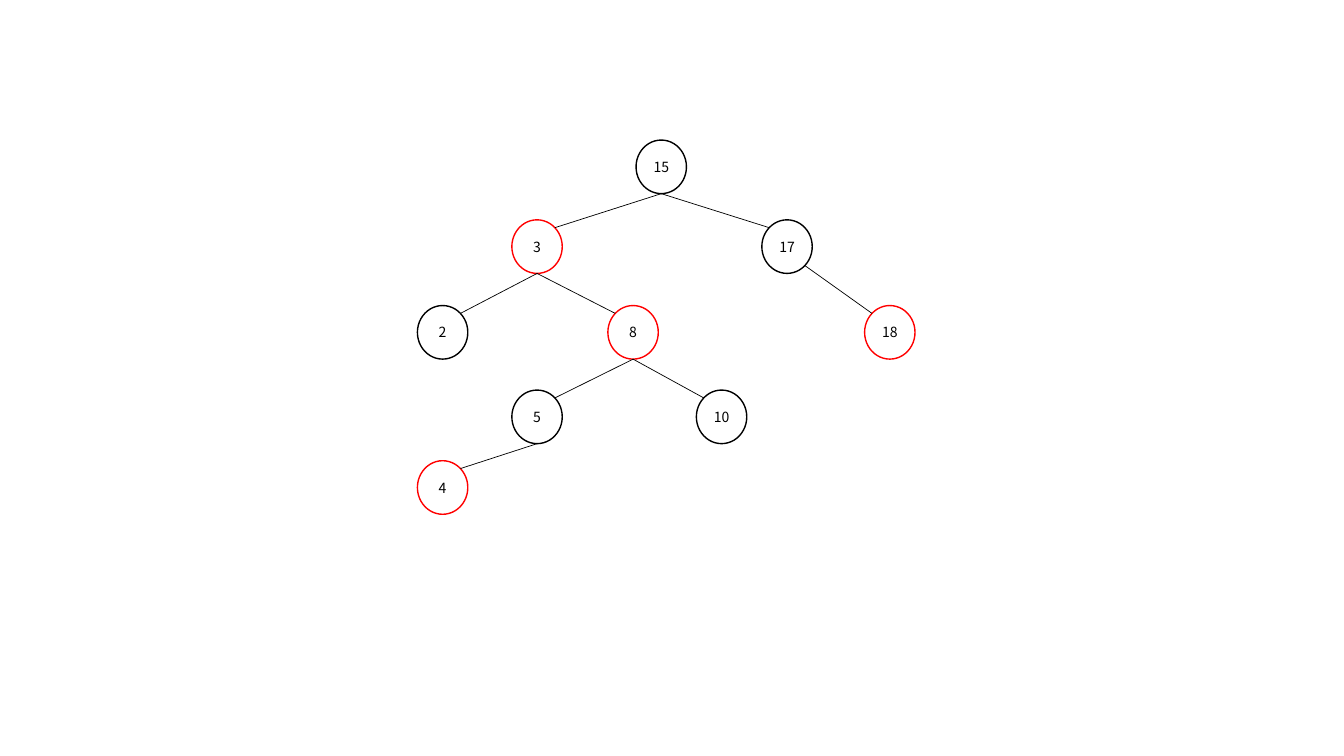
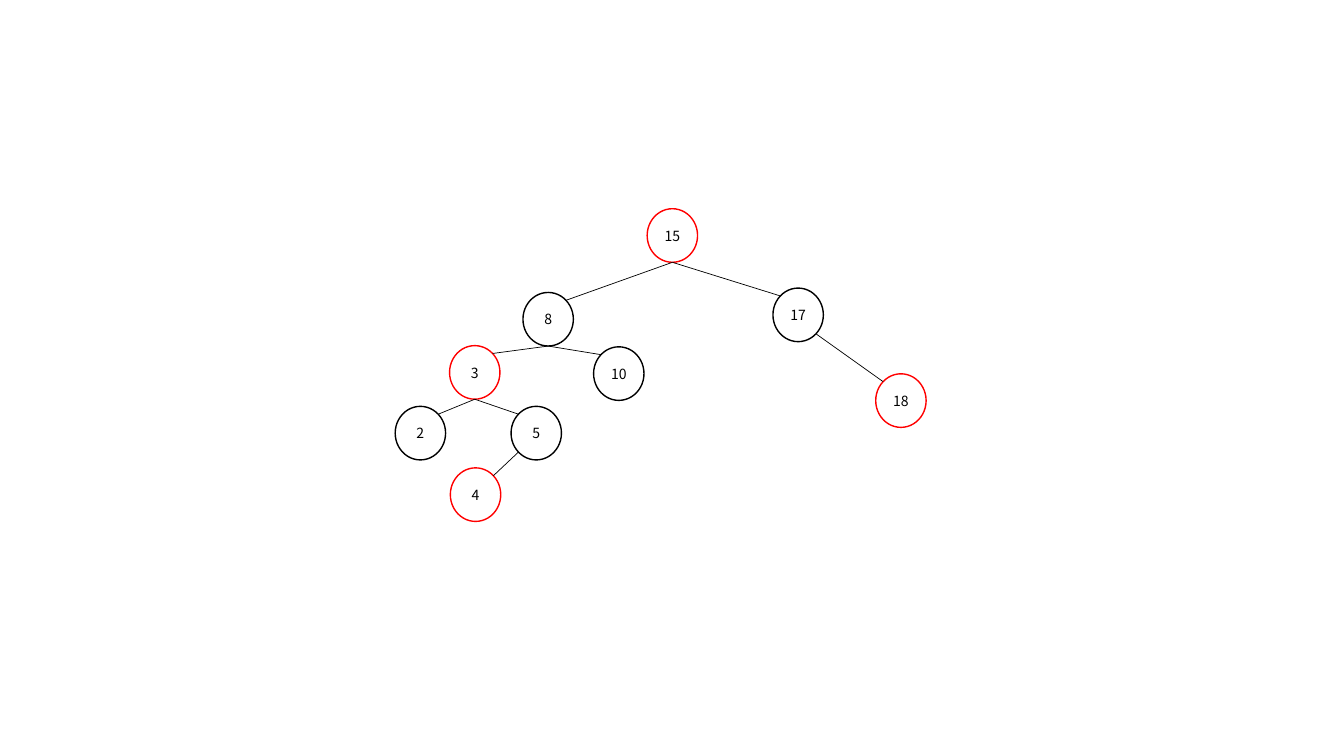
from math import sqrt

from lxml.etree import SubElement
from pptx import Presentation
from pptx.dml.color import RGBColor
from pptx.enum.shapes import MSO_CONNECTOR, MSO_SHAPE
from pptx.enum.text import MSO_ANCHOR, PP_ALIGN
from pptx.oxml.ns import qn
from pptx.util import Cm, Pt

BLACK = RGBColor(0x00, 0x00, 0x00)
RED = RGBColor(0xFF, 0x00, 0x00)
WHITE = RGBColor(0xFF, 0xFF, 0xFF)
FONT = "Noto Sans CJK KR"
NODE_WIDTH, NODE_HEIGHT = 1.27, 1.35

# Each tree: nodes as key: (left, top, colour) in cm, edges as (parent, child),
# and the parents whose edges leave from the side instead of the bottom
TREES = [
    {
        "nodes": {
            15: (16.03, 3.53, BLACK),
            3: (12.9, 5.54, RED),
            17: (19.2, 5.54, BLACK),
            2: (10.52, 7.7, BLACK),
            8: (15.32, 7.7, RED),
            18: (21.79, 7.7, RED),
            5: (12.9, 9.83, BLACK),
            10: (17.55, 9.83, BLACK),
            4: (10.52, 11.61, RED),
        },
        "edges": [(15, 3), (15, 17), (3, 2), (3, 8), (8, 5), (8, 10), (17, 18), (5, 4)],
        "side_parents": {17},
    },
    {
        "nodes": {
            15: (16.31, 5.26, RED),
            8: (13.18, 7.37, BLACK),
            17: (19.48, 7.26, BLACK),
            3: (11.33, 8.71, RED),
            10: (14.96, 8.74, BLACK),
            18: (22.07, 9.42, RED),
            2: (9.96, 10.24, BLACK),
            5: (12.88, 10.24, BLACK),
            4: (11.35, 11.79, RED),
        },
        "edges": [(15, 8), (15, 17), (8, 3), (8, 10), (3, 2), (3, 5), (17, 18), (5, 4)],
        "side_parents": {17, 5},
    },
]


def add_node(slide, key, left, top, colour):
    shape = slide.shapes.add_shape(
        MSO_SHAPE.OVAL, Cm(left), Cm(top), Cm(NODE_WIDTH), Cm(NODE_HEIGHT))
    shape.shadow.inherit = False
    shape.fill.solid()
    shape.fill.fore_color.rgb = WHITE
    shape.line.color.rgb = colour
    shape.line.width = Pt(1)
    frame = shape.text_frame
    frame.margin_left = frame.margin_right = frame.margin_top = frame.margin_bottom = 0
    frame.vertical_anchor = MSO_ANCHOR.MIDDLE
    paragraph = frame.paragraphs[0]
    paragraph.text = str(key)
    paragraph.alignment = PP_ALIGN.CENTER
    paragraph.font.name = FONT
    paragraph.font.size = Pt(10)
    paragraph.font.color.rgb = BLACK


def rim_point(node, across, down):
    """Point on a node's rim in the direction (across, down)."""
    left, top, _ = node
    length = sqrt(across ** 2 + down ** 2)
    return (Cm(left + NODE_WIDTH / 2 * (1 + across / length)),
            Cm(top + NODE_HEIGHT / 2 * (1 + down / length)))


def add_edge(slide, parent, child, from_side):
    side = 1 if child[0] > parent[0] else -1
    start = rim_point(parent, side if from_side else 0, 1)
    end = rim_point(child, -side, -1)
    connector = slide.shapes.add_connector(MSO_CONNECTOR.STRAIGHT, *start, *end)
    connector.line.color.rgb = BLACK
    connector.line.width = Pt(0.5)
    SubElement(connector._element.spPr, qn("a:effectLst"))


def main():
    presentation = Presentation()
    presentation.slide_width = Cm(33.87)
    presentation.slide_height = Cm(19.05)
    for tree in TREES:
        slide = presentation.slides.add_slide(presentation.slide_layouts[6])
        nodes = tree["nodes"]
        for key, node in nodes.items():
            add_node(slide, key, *node)
        for parent, child in tree["edges"]:
            add_edge(slide, nodes[parent], nodes[child], parent in tree["side_parents"])
    presentation.save("out.pptx")


if __name__ == "__main__":
    main()
